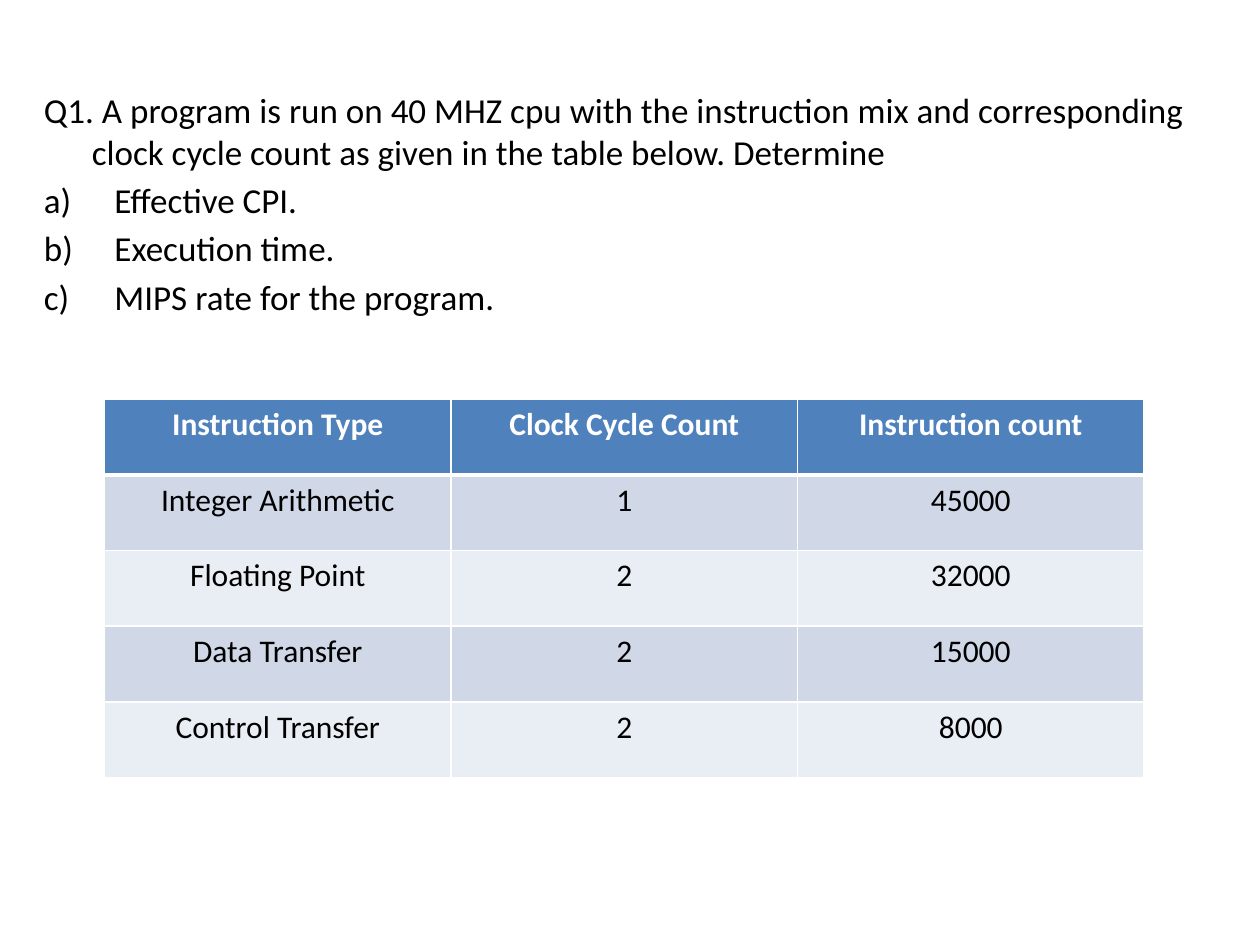
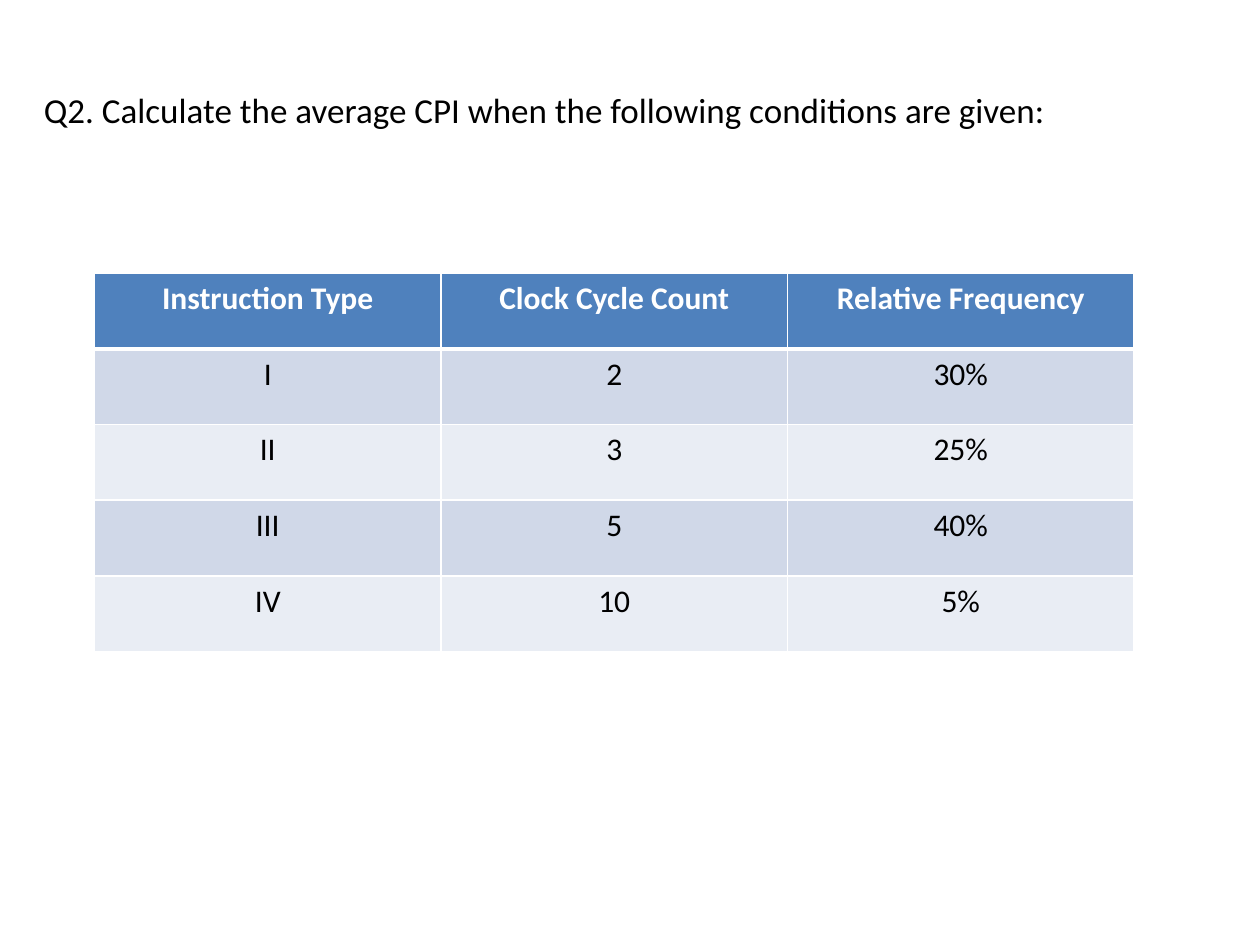
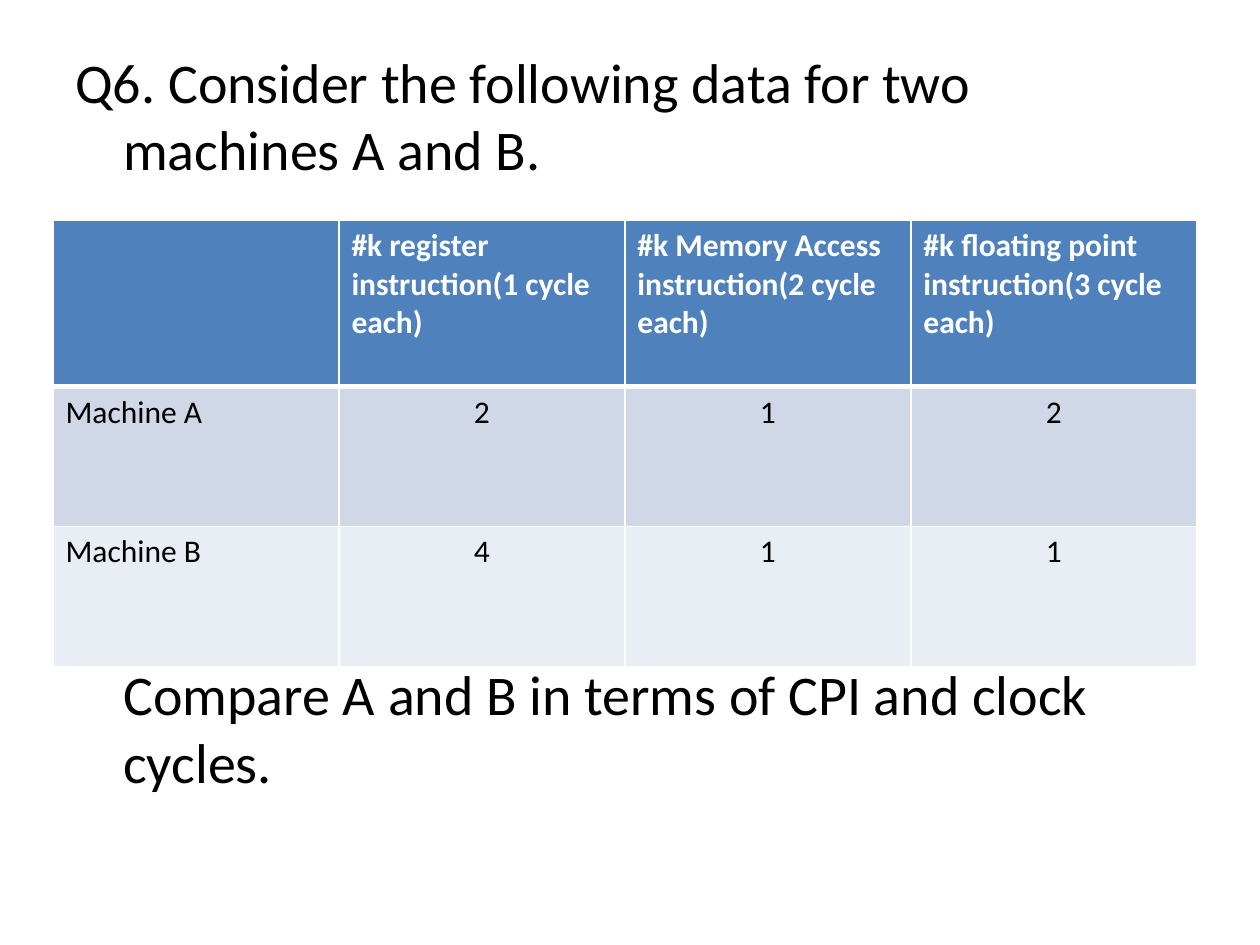
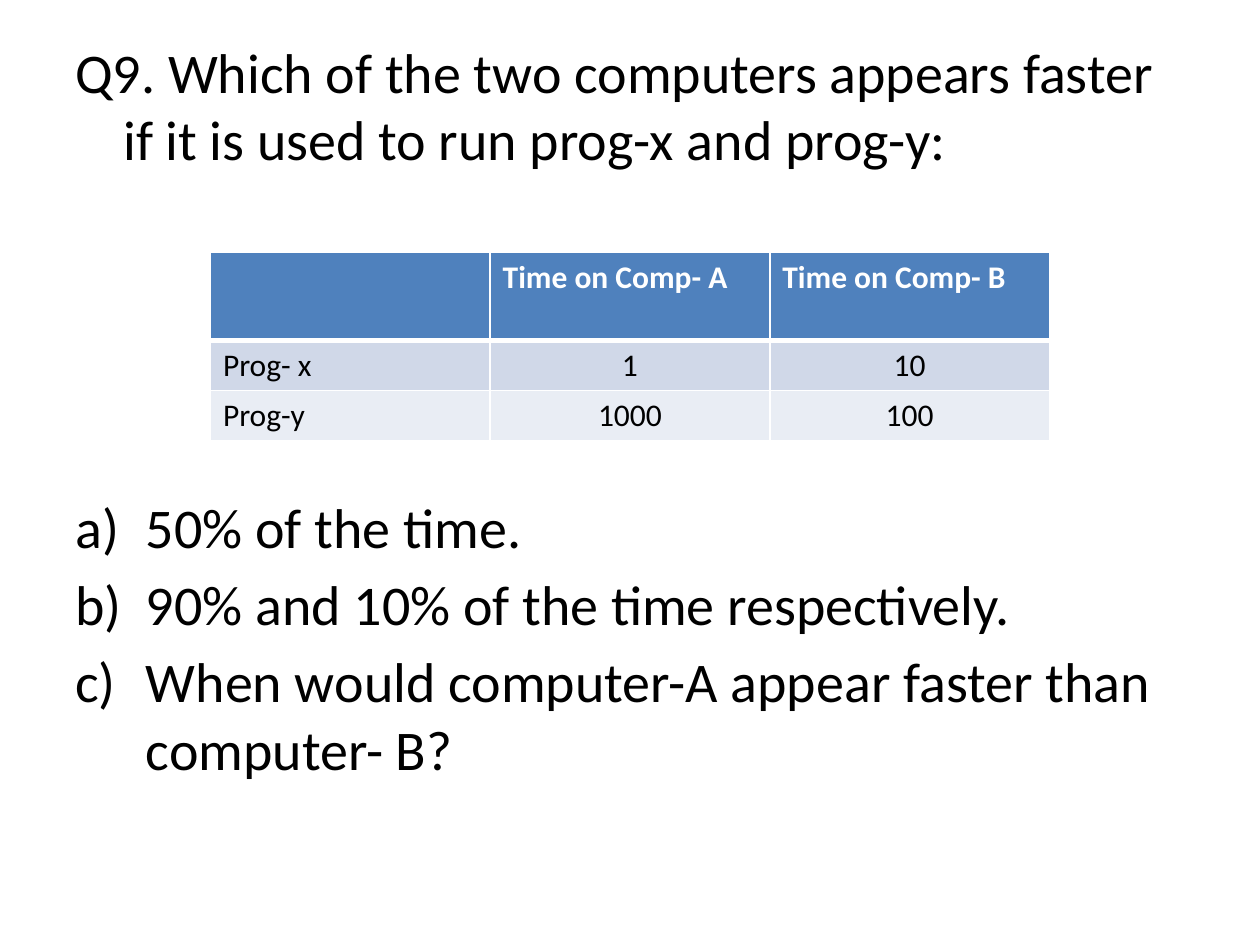
from pptx import Presentation
from pptx.dml.color import RGBColor
from pptx.enum.text import PP_ALIGN as Align
from pptx.oxml.xmlchemy import OxmlElement as Node
from pptx.util import Inches, Pt

# Shared look
FONT = "Calibri"
INK, WHITE, HEAD = "000000", "FFFFFF", "4F81BD"
BANDS = ["D0D8E8", "E9EDF4"]
HANG, STEP = 0.38, 0.56  # indents of questions and lettered steps


def rgb(code):
    return RGBColor.from_string(code)


def style(para, size, color=INK, bold=False):
    font = para.font
    font.name, font.size, font.bold = FONT, Pt(size), bold
    font.color.rgb = rgb(color)


def indent(para, left, first):
    props = para._p.get_or_add_pPr()
    props.set("marL", str(Inches(left)))
    props.set("indent", str(Inches(first)))
    return props


def border(cell, sides):
    """Draw white lines on a cell; sides maps each edge to its width."""
    props = cell._tc.get_or_add_tcPr()
    for side, width in sides.items():
        line = Node("a:ln" + side)
        line.set("w", str(Pt(width)))
        fill, tint = Node("a:solidFill"), Node("a:srgbClr")
        tint.set("val", WHITE)
        fill.append(tint)
        line.append(fill)
        props.append(line)


def add_text(slide, box, size, lines, top=0.05):
    """Place lines of (kind, text, gap before); a gap of None is the usual one."""
    frame = slide.shapes.add_textbox(*map(Inches, box)).text_frame
    frame.word_wrap = True
    frame.margin_top = Inches(top)
    for i, (kind, text, gap) in enumerate(lines):
        para = frame.paragraphs[0] if i == 0 else frame.add_paragraph()
        para.text = text
        style(para, size)
        para.space_before = Pt(size * 0.18 if gap is None else gap)
        if kind == "step":
            mark = Node("a:buAutoNum")
            mark.set("type", "alphaLcParenR")
            props = indent(para, STEP, -STEP)
            props.insert_element_before(mark, "a:tabLst", "a:defRPr", "a:extLst")
        else:
            indent(para, HANG, -HANG if kind == "ask" else 0)


def add_grid(slide, left, top, width, heights, rows, center):
    """Draw a banded table; center tells if headings and first column are centred."""
    count = len(rows[0])
    table = slide.shapes.add_table(
        len(rows), count, Inches(left), Inches(top),
        Inches(width), Inches(sum(heights))).table
    for col in table.columns:
        col.width = Inches(width / count)
    for r, (row, high) in enumerate(zip(rows, heights)):
        table.rows[r].height = Inches(high)
        for c, text in enumerate(row):
            cell = table.cell(r, c)
            border(cell, {"L": 1, "R": 1, "T": 3 if r == 1 else 1,
                          "B": 3 if r == 0 else 1})
            cell.fill.solid()
            cell.fill.fore_color.rgb = rgb(BANDS[(r - 1) % 2] if r else HEAD)
            cell.text = text
            para = cell.text_frame.paragraphs[0]
            style(para, 18, INK if r else WHITE, r == 0)
            para.alignment = Align.CENTER if center or (r and c) else Align.LEFT


def add_page(deck, text, grid):
    slide = deck.slides.add_slide(deck.slide_layouts[6])
    add_text(slide, **text)
    add_grid(slide, **grid)


def main():
    deck = Presentation()
    deck.slide_width, deck.slide_height = Inches(10), Inches(7.5)
    wide = dict(box=(0.25, 0.25, 9.75, 7), size=20, top=0.45)
    even = dict(width=8.25, heights=[0.6] * 5, center=True)

    # Q1: effective CPI, time and MIPS
    add_page(deck, dict(wide, lines=[
        ("ask", "Q1. A program is run on 40 MHZ cpu with the instruction mix and "
                "corresponding clock cycle count as given in the table below. "
                "Determine", 0),
        ("step", "Effective CPI.", None),
        ("step", "Execution time.", None),
        ("step", "MIPS rate for the program.", None),
    ]), dict(even, left=0.83, top=3.17, rows=[
        ["Instruction Type", "Clock Cycle Count", "Instruction count"],
        ["Integer Arithmetic", "1", "45000"],
        ["Floating Point", "2", "32000"],
        ["Data Transfer", "2", "15000"],
        ["Control Transfer", "2", "8000"],
    ]))

    # Q2: average CPI
    add_page(deck, dict(wide, lines=[
        ("ask", "Q2. Calculate the average CPI when the following conditions "
                "are given:", 0),
    ]), dict(even, left=0.75, top=2.17, rows=[
        ["Instruction Type", "Clock Cycle Count", "Relative Frequency"],
        ["I", "2", "30%"],
        ["II", "3", "25%"],
        ["III", "5", "40%"],
        ["IV", "10", "5%"],
    ]))

    # Q6: two machines, with the task below the table
    kinds = ["register", "Memory Access", "floating point"]
    heads = [f"#k {kind} instruction({n} cycle each)"
             for n, kind in enumerate(kinds, 1)]
    add_page(deck, dict(box=(0.5, 0.33, 9, 6.37), size=32, lines=[
        ("ask", "Q6. Consider the following data for two machines A and B.", 0),
        ("note", "Compare A and B in terms of CPI and clock cycles.", 273),
    ]), dict(left=0.42, top=1.75, width=9.08, heights=[1.32, 1.11, 1.11],
             center=False, rows=[
        ["", *heads],
        ["Machine A", "2", "1", "2"],
        ["Machine B", "4", "1", "1"],
    ]))

    # Q9: two computers, with the cases below the table
    add_page(deck, dict(box=(0.5, 0.25, 9, 6.45), size=32, lines=[
        ("ask", "Q9. Which of the two computers appears faster if it is used to "
                "run prog-x and prog-y:", 0),
        ("step", "50% of the time.", 183),
        ("step", "90% and 10% of the time respectively.", None),
        ("step", "When would computer-A appear faster than computer- B?", None),
    ]), dict(left=1.67, top=2, width=6.66, heights=[0.7, 0.4, 0.4],
             center=False, rows=[
        ["", "Time on Comp- A", "Time on Comp- B"],
        ["Prog- x", "1", "10"],
        ["Prog-y", "1000", "100"],
    ]))

    deck.save("out.pptx")


if __name__ == "__main__":
    main()
